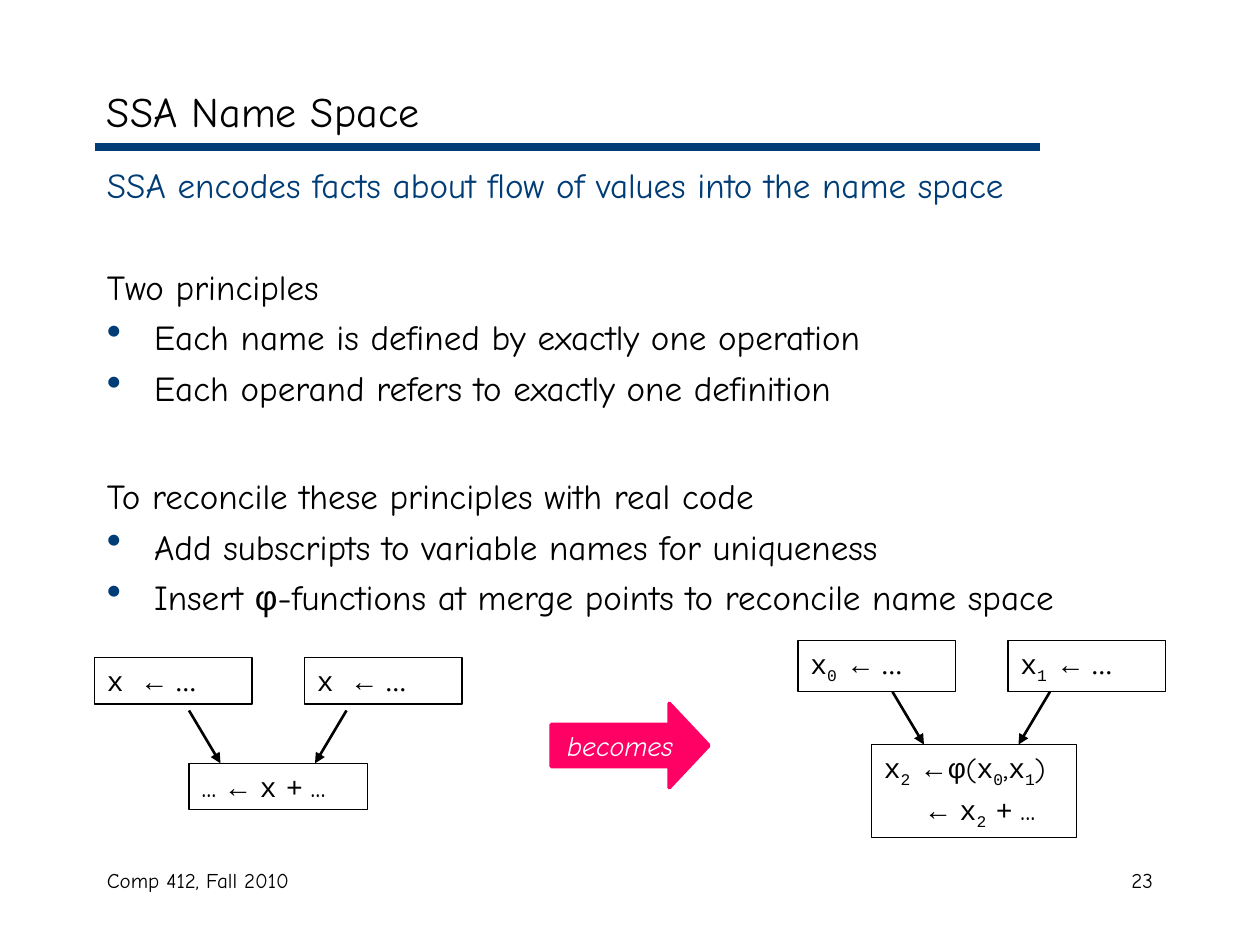
from dataclasses import dataclass

from lxml import etree
from pptx import Presentation
from pptx.dml.color import RGBColor
from pptx.enum.shapes import MSO_CONNECTOR, MSO_SHAPE
from pptx.enum.text import MSO_ANCHOR, MSO_AUTO_SIZE, PP_ALIGN
from pptx.oxml.ns import qn
from pptx.util import Pt

STRAIGHT = MSO_CONNECTOR.STRAIGHT
RECTANGLE, RIGHT_ARROW = MSO_SHAPE.RECTANGLE, MSO_SHAPE.RIGHT_ARROW
TOP, MIDDLE = MSO_ANCHOR.TOP, MSO_ANCHOR.MIDDLE
LEFT, CENTER, RIGHT = PP_ALIGN.LEFT, PP_ALIGN.CENTER, PP_ALIGN.RIGHT
FIT_SHAPE = MSO_AUTO_SIZE.SHAPE_TO_FIT_TEXT


@dataclass(frozen=True)
class Theme:
    black: RGBColor = RGBColor(0x00, 0x00, 0x00)
    white: RGBColor = RGBColor(0xFF, 0xFF, 0xFF)
    navy: RGBColor = RGBColor(0x00, 0x3C, 0x75)
    pink: RGBColor = RGBColor(0xFF, 0x00, 0x65)
    title: float = 24
    body: float = 20
    code: float = 16
    footer: float = 12
    small_space: float = 9
    hand: str = "Comic Neue"
    symbol: str = "Arial"
    mono: str = "Courier New"
    serif: str = "Times New Roman"
    sans: str = "Quicksand"


THEME = Theme()


@dataclass(frozen=True)
class Span:
    text: str
    font: str = THEME.hand
    italic: bool = False
    subscript: bool = False
    size: float | None = None


@dataclass(frozen=True)
class Line:
    spans: tuple[Span, ...]
    before: float = 0
    indent: float = 0
    hanging: float = 0
    bullet: bool = False
    color: RGBColor | None = None


@dataclass(frozen=True)
class Diagram:
    left: float
    top: float
    box_height: float
    arrow_top: float
    sources: tuple[Line, Line]
    merge_offset: float
    merge_width: float
    merge_height: float
    merge: tuple[Line, ...]


def write(shape, lines, *, size: float, color: RGBColor = THEME.black,
          align=LEFT, anchor=TOP, wrap: bool = True) -> None:
    """Fill a shape with formatted lines."""
    frame = shape.text_frame
    frame.word_wrap = wrap
    frame.vertical_anchor = anchor
    for index, line in enumerate(lines):
        para = frame.paragraphs[0] if index == 0 else frame.add_paragraph()
        para.alignment = align
        properties = para._p.get_or_add_pPr()
        properties.set("marL", str(Pt(line.indent + line.hanging)))
        properties.set("indent", str(-Pt(line.hanging)))
        para.space_before = Pt(line.before)
        if line.bullet:
            bullet_color = etree.SubElement(properties, qn("a:buClr"))
            etree.SubElement(bullet_color, qn("a:srgbClr"), val=str(THEME.navy))
            etree.SubElement(properties, qn("a:buSzPct"), val="120000")
            etree.SubElement(properties, qn("a:buChar"), char="•")
        for span in line.spans:
            run = para.add_run()
            run.text = span.text
            run.font.name = span.font
            run.font.size = Pt(span.size or size)
            run.font.italic = span.italic
            run.font.color.rgb = line.color or color
            if span.subscript:
                run._r.get_or_add_rPr().set("baseline", "-25000")


def add_text(shapes, left: float, top: float, width: float, height: float,
             lines, **style) -> None:
    box = shapes.add_textbox(Pt(left), Pt(top), Pt(width), Pt(height))
    write(box, lines, **style)


def add_line(shapes, start: tuple[float, float], end: tuple[float, float],
             color: RGBColor, width: float, arrow: bool = False) -> None:
    line = shapes.add_connector(STRAIGHT, *map(Pt, start + end))
    line.line.color.rgb = color
    line.line.width = Pt(width)
    if arrow:
        etree.SubElement(line.line._get_or_add_ln(), qn("a:tailEnd"), type="triangle")
    etree.SubElement(line._element.spPr, qn("a:effectLst"))


def add_code_box(shapes, left: float, top: float, width: float, height: float, lines) -> None:
    box = shapes.add_shape(RECTANGLE, Pt(left), Pt(top), Pt(width), Pt(height))
    box.shadow.inherit = False
    box.fill.background()
    box.line.color.rgb = THEME.black
    box.line.width = Pt(0.75)
    write(box, lines, size=THEME.code)
    box.text_frame.auto_size = FIT_SHAPE


def add_diagram(shapes, diagram: Diagram) -> None:
    """Two assignments flowing into one use."""
    group = shapes.add_group_shape().shapes
    left, arrow_top = diagram.left, diagram.arrow_top
    arrow_bottom = arrow_top + 30.2
    for index, source in enumerate(diagram.sources):
        add_code_box(group, left + 120 * index, diagram.top, 90, diagram.box_height, [source])
    add_code_box(group, left + diagram.merge_offset, arrow_bottom,
                 diagram.merge_width, diagram.merge_height, diagram.merge)
    for start, end in ((54, 72), (144, 126)):
        add_line(group, (left + start, arrow_top), (left + end, arrow_bottom),
                 THEME.black, 1.5, arrow=True)


def plain(text: str) -> Line:
    return Line((Span(text),))


def body_line(*spans: Span, before: float = 5, bullet: bool = False,
              color: RGBColor | None = None) -> Line:
    return Line(spans, before, hanging=27, bullet=bullet, color=color)


def mono(text: str) -> Span:
    return Span(text, THEME.mono)


def sans(text: str) -> Span:
    return Span(text, THEME.sans)


def sub(text: str) -> Span:
    return Span(text, THEME.mono, subscript=True)


def assignment(*target: Span) -> Line:
    return Line((*target, Span("←", THEME.symbol, italic=True), Span(" ...", THEME.serif)))


# Content
USES = Span("← ", THEME.symbol, italic=True)
BODY = [
    body_line(Span("SSA encodes facts about flow of values into the name space"),
              before=0, color=THEME.navy),
    body_line(Span("Two principles"), before=34),
    body_line(Span("Each name is defined by exactly one operation"), bullet=True),
    body_line(Span("Each operand refers to exactly one definition"), bullet=True),
    body_line(Span("To reconcile these principles with real code"), before=37.5),
    body_line(Span("Add subscripts to variable names for uniqueness"), bullet=True),
    body_line(Span("Insert "), Span("φ", THEME.symbol),
              Span("-functions at merge points to reconcile name space"), bullet=True),
]
PLAIN_CODE = Diagram(
    54, 375.8, 26.6, 406, (assignment(mono("x ")),) * 2, 54, 102, 26.6,
    (Line((sans("... "), USES, mono("x"), Span(" ", THEME.mono, size=THEME.small_space),
           mono("+"), sans(" ..."))),))
SSA_CODE = Diagram(
    456, 365.8, 29.5, 395.3,
    (assignment(mono("x"), sub("0 ")), assignment(mono("x"), sub("1 "))), 42, 117, 53.3,
    (Line((mono("x"), sub("2 "), Span("←φ", THEME.symbol), sans("("), mono("x"), sub("0"),
           sans(","), mono("x"), sub("1"), sans(")"))),
     Line((USES, mono("x"), sub("2 "), mono("+"), sans(" ...")), before=2, indent=23)))


def main() -> None:
    deck = Presentation()
    deck.slide_width, deck.slide_height = Pt(720), Pt(540)
    shapes = deck.slides.add_slide(deck.slide_layouts[6]).shapes

    # Rule, footer, title and body
    add_line(shapes, (54, 84.2), (594, 84.2), THEME.navy, 4.5)
    add_text(shapes, 54, 492, 228, 36, [plain("Comp 412, Fall 2010")], size=THEME.footer)
    add_text(shapes, 516, 492, 150, 36, [plain("23")], size=THEME.footer, align=RIGHT)
    add_text(shapes, 54, 42, 612, 42, [plain("SSA Name Space")],
             size=THEME.title, anchor=MIDDLE)
    add_text(shapes, 54, 90, 612, 390, BODY, size=THEME.body)

    # Code before and after renaming
    for diagram in (PLAIN_CODE, SSA_CODE):
        add_diagram(shapes, diagram)

    # Arrow between the two diagrams
    becomes = shapes.add_shape(RIGHT_ARROW, Pt(315), Pt(402), Pt(90), Pt(48))
    becomes.adjustments[0], becomes.adjustments[1] = 0.5, 0.47
    becomes.shadow.inherit = False
    becomes.fill.solid()
    becomes.fill.fore_color.rgb = THEME.pink
    becomes.line.color.rgb = THEME.pink
    becomes.line.width = Pt(2.25)
    write(becomes, [Line((Span("becomes", italic=True),))], size=THEME.code,
          color=THEME.white, align=CENTER, anchor=MIDDLE, wrap=False)

    deck.save("out.pptx")


if __name__ == "__main__":
    main()
